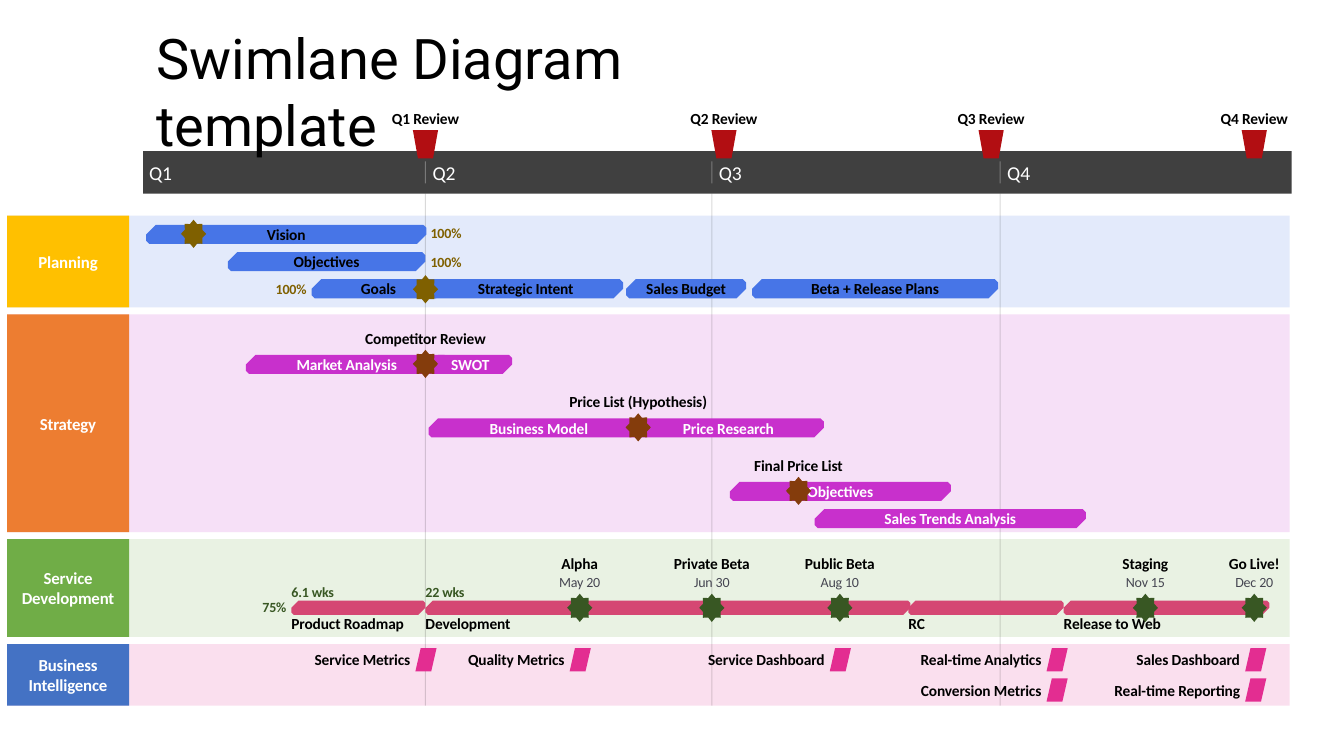
import pptx
import pptx.util
import pptx.dml.color
import pptx.enum.shapes
import pptx.enum.text
import pptx.oxml.ns
from lxml import etree

Inches, Pt = pptx.util.Inches, pptx.util.Pt
MSO = pptx.enum.shapes.MSO_SHAPE
ALIGN = pptx.enum.text.PP_ALIGN
ANCHOR = pptx.enum.text.MSO_ANCHOR
BLACK, WHITE = "000000", "FFFFFF"
BLUE, PURPLE, ROSE, PINK, RED = "4775E7", "C830CC", "D54773", "E32D91", "B20E12"
GOLD, BROWN, GREEN, SLATE = "7F6000", "843C0C", "385723", "454551"

TITLE = "Swimlane Diagram template"
# name, top, height, header colour, band colour
LANES = [
    ("Planning", 2.14, 0.91, "FFC000", BLUE),
    ("Strategy", 3.12, 2.16, "ED7D31", PURPLE),
    ("Service Development", 5.35, 0.97, "70AD47", "70AD47"),
    ("Business Intelligence", 6.39, 0.61, "4472C4", PINK),
]
QUARTERS = [("Q1", 1.41), ("Q2", 4.22), ("Q3", 7.06), ("Q4", 9.92)]
REVIEWS = [("Q1 Review", 4.22), ("Q2 Review", 7.18),
           ("Q3 Review", 9.83), ("Q4 Review", 12.44)]
# name, left, top, width
PLANNING_BARS = [
    ("Vision", 1.45, 2.23, 2.78),
    ("Objectives", 2.26, 2.5, 1.96),
    ("Goals", 3.09, 2.77, 1.33),
    ("Strategic Intent", 4.25, 2.77, 1.93),
    ("Sales Budget", 6.21, 2.77, 1.19),
    ("Beta + Release Plans", 7.46, 2.77, 2.44),
]
STRATEGY_BARS = [
    ("SWOT", 4.25, 3.52, 0.83),
    ("Market Analysis", 2.44, 3.52, 2.0),
    ("Price Research", 6.28, 4.15, 1.89),
    ("Business Model", 4.25, 4.15, 2.19),
    ("Objectives", 7.24, 4.78, 2.19),
    ("Sales Trends Analysis", 8.08, 5.05, 2.69),
]
# text, left, top, alignment
PERCENTS = [("100%", 4.27, 2.23, ALIGN.LEFT), ("100%", 4.27, 2.51, ALIGN.LEFT),
            ("100%", 2.72, 2.78, ALIGN.RIGHT)]
PLANNING_STARS = [(1.92, 2.18), (4.22, 2.73)]
# name, label width, centre, star top
STRATEGY_MILESTONES = [
    ("Competitor Review", 1.22, 4.22, 3.47),
    ("Price List (Hypothesis)", 1.4, 6.33, 4.1),
    ("Final Price List", 0.9, 7.92, 4.73),
]
# name, label width, left, bar width, duration
PHASES = [
    ("Product Roadmap", 1.14, 2.89, 1.33, "6.1 wks"),
    ("RC", 0.17, 9.01, 1.54, None),
    ("Development", 0.86, 4.22, 4.81, "22 wks"),
    ("Release to Web", 0.99, 10.55, 2.04, None),
]
# name, label width, date, centre
RELEASES = [
    ("Alpha", 0.38, "May 20", 5.75),
    ("Private Beta", 0.78, "Jun 30", 7.06),
    ("Public Beta", 0.71, "Aug 10", 8.33),
    ("Staging", 0.47, "Nov 15", 11.36),
    ("Go Live!", 0.51, "Dec 20", 12.44),
]
# name, label width, marker left, row
REPORTS = [
    ("Service Metrics", 0.97, 4.12, 0),
    ("Quality Metrics", 0.99, 5.65, 0),
    ("Service Dashboard", 1.18, 8.23, 0),
    ("Real-time Analytics", 1.22, 10.38, 0),
    ("Sales Dashboard", 1.06, 12.35, 0),
    ("Conversion Metrics", 1.22, 10.38, 1),
    ("Real-time Reporting", 1.28, 12.35, 1),
]

prs = pptx.Presentation()
prs.slide_width, prs.slide_height = Inches(13.33), Inches(7.5)
slide = prs.slides.add_slide(prs.slide_layouts[5])


def paint(fill, color, opacity=100):
    fill.solid()
    fill.fore_color.rgb = pptx.dml.color.RGBColor.from_string(color)
    if opacity < 100:
        clr = fill._xPr.find(".//" + pptx.oxml.ns.qn("a:srgbClr"))
        etree.SubElement(clr, pptx.oxml.ns.qn("a:alpha")).set("val", str(opacity * 1000))


def write(sp, text, size, color, align, bold=True, wrap=False):
    tf = sp.text_frame
    tf.text = text
    tf.word_wrap = wrap
    tf.vertical_anchor = ANCHOR.MIDDLE
    tf.margin_left = tf.margin_right = tf.margin_top = tf.margin_bottom = 0
    p = tf.paragraphs[0]
    p.alignment = align
    r = p.runs[0]
    r.font.name, r.font.size, r.font.bold = "Calibri", Pt(size), bold
    paint(r.font.fill, color)
    r._r.get_or_add_rPr().set("spc", "-10")


def shape(kind, x, y, w, h, color, opacity=100):
    sp = slide.shapes.add_shape(kind, Inches(x), Inches(y), Inches(w), Inches(h))
    sp.shadow.inherit = False
    paint(sp.fill, color, opacity)
    sp.line.fill.background()
    return sp


def label(text, x, y, w, size=11, color=BLACK, align=ALIGN.CENTER, bold=True):
    h = {10: 0.17, 11: 0.19, 14: 0.22}[size]
    sp = slide.shapes.add_textbox(Inches(x), Inches(y), Inches(w), Inches(h))
    write(sp, text, size, color, align, bold)


def bar(x, y, w, h, color):
    sp = shape(MSO.SNIP_2_DIAG_RECTANGLE, x, y, w, h, color)
    sp.adjustments[0], sp.adjustments[1] = 1, 0.167
    return sp


def marker(kind, centre, y, color):
    shape(kind, centre - 0.125, y, 0.25, 0.28, color)


def vertical_line(x, top, bottom, color, opacity):
    line = slide.shapes.add_connector(pptx.enum.shapes.MSO_CONNECTOR.STRAIGHT,
                                      Inches(x), Inches(top), Inches(x), Inches(bottom))
    line.line.width = Pt(0.75)
    paint(line.line.fill, color, opacity)
    etree.SubElement(line._element.spPr, pptx.oxml.ns.qn("a:effectLst"))


# Lanes and time axis
for name, top, height, header, band in LANES:
    shape(MSO.RECTANGLE, 0.07, top, 12.72, height, band, 15)
    sp = shape(MSO.RECTANGLE, 0.07, top, 1.21, height, header)
    write(sp, name, 12, WHITE, ALIGN.CENTER, wrap=True)
shape(MSO.RECTANGLE, 1.42, 1.5, 11.39, 0.42, "404040")
for name, x in QUARTERS:
    label(name, x + 0.07, 1.6, 0.23, 14, WHITE, ALIGN.LEFT, False)
for name, x in QUARTERS[1:]:
    vertical_line(x, 1.92, 7, BLACK, 15)
    vertical_line(x, 1.6, 1.82, WHITE, 30)
for name, centre in REVIEWS:
    marker(MSO.FLOWCHART_MANUAL_OPERATION, centre, 1.29, RED)
    label(name, centre - 0.34, 1.08, 0.68)

# Planning and strategy
for bars, fill, ink in [(PLANNING_BARS, BLUE, BLACK), (STRATEGY_BARS, PURPLE, WHITE)]:
    for name, x, y, w in bars:
        write(bar(x, y, w, 0.19, fill), name, 11, ink, ALIGN.CENTER)
for text, x, y, align in PERCENTS:
    label(text, x, y, 0.32, 10, GOLD, align)
for centre, y in PLANNING_STARS:
    marker(MSO.STAR_8_POINT, centre, y, GOLD)
for name, w, centre, y in STRATEGY_MILESTONES:
    label(name, centre - w / 2, y - 0.21, w)
    marker(MSO.STAR_8_POINT, centre, y, BROWN)

# Service development
for name, label_w, x, w, duration in PHASES:
    bar(x, 5.96, w, 0.14, ROSE)
    label(name, x, 6.09, label_w, align=ALIGN.LEFT)
    if duration:
        label(duration, x, 5.79, 0.55, 10, GREEN, ALIGN.LEFT)
label("75%", 2.54, 5.94, 0.3, 10, GREEN, ALIGN.RIGHT)
for name, w, date, centre in RELEASES:
    label(name, centre - w / 2, 5.49, w)
    label(date, centre - 0.27, 5.69, 0.54, 10, SLATE, bold=False)
    marker(MSO.STAR_8_POINT, centre, 5.89, GREEN)

# Business intelligence
for name, w, x, row in REPORTS:
    y = 6.43 + 0.3 * row
    shape(MSO.PARALLELOGRAM, x, y, 0.21, 0.23, PINK)
    label(name, x - 0.05 - w, y + 0.02, w, align=ALIGN.RIGHT)

# Title, in front of the time axis
title = slide.shapes.title
title.left, title.top, title.width, title.height = map(Inches, (1.45, 0.18, 7.1, 0.77))
tf = title.text_frame
tf.text = TITLE
tf.word_wrap = True
tf.auto_size = pptx.enum.text.MSO_AUTO_SIZE.NONE
tf.vertical_anchor = ANCHOR.TOP
p = tf.paragraphs[0]
p.alignment = ALIGN.LEFT
r = p.runs[0]
r.font.name, r.font.size = "Roboto", Pt(40)
paint(r.font.fill, BLACK)
slide.shapes._spTree.append(title._element)

prs.save("out.pptx")
